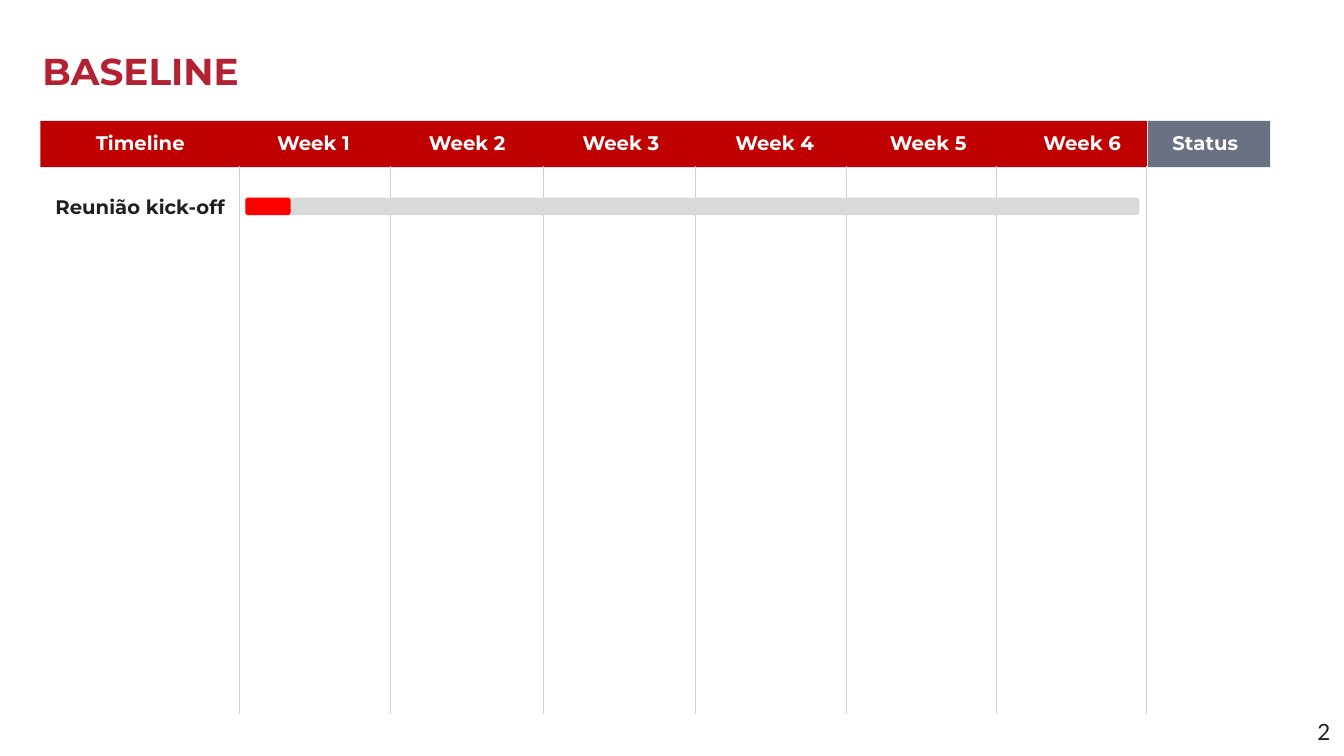
from lxml import etree
from pptx import Presentation
from pptx.dml.color import RGBColor
from pptx.enum import shapes, text
from pptx.oxml import ns
from pptx.util import Pt

CRIMSON = RGBColor(0xB2, 0x22, 0x32)
RED = RGBColor(0xC0, 0x00, 0x00)
BRIGHT_RED = RGBColor(0xFF, 0x00, 0x00)
SLATE = RGBColor(0x6A, 0x71, 0x82)
WHITE = RGBColor(0xFF, 0xFF, 0xFF)
INK = RGBColor(0x23, 0x1F, 0x20)
RULE_GREY = RGBColor(0xD1, 0xD1, 0xD1)
TRACK_GREY = RGBColor(0xD9, 0xD9, 0xD9)

HEADER_TOP, HEADER_HEIGHT = 86.4, 33.1
LABEL_TOP, LABEL_HEIGHT = 93.6, 17.3
RULE_TOP, RULE_BOTTOM = 118.8, 509.8
RULE_POSITIONS = [171.2, 278.6, 388.1, 496.9, 604.3, 711.9, 818.6]
WEEK_COUNT, WEEK_LEFT, WEEK_STEP, WEEK_WIDTH = 6, 193.9, 109.8, 60


def add_label(page, words, left, top, width, height, size=14, color=WHITE,
              align=text.PP_ALIGN.CENTER, font="Montserrat", bold=True):
    box = page.shapes.add_textbox(Pt(left), Pt(top), Pt(width), Pt(height))
    frame = box.text_frame
    frame.margin_left = frame.margin_right = 0
    frame.margin_top = frame.margin_bottom = 0
    frame.word_wrap = False
    frame.auto_size = text.MSO_AUTO_SIZE.SHAPE_TO_FIT_TEXT
    frame.vertical_anchor = text.MSO_ANCHOR.MIDDLE
    para = frame.paragraphs[0]
    para.text = words
    para.alignment = align
    para.font.name = font
    para.font.size = Pt(size)
    para.font.bold = bold
    para.font.color.rgb = color
    return box


def add_block(page, left, top, width, height, color,
              kind=shapes.MSO_SHAPE.RECTANGLE):
    block = page.shapes.add_shape(kind, Pt(left), Pt(top), Pt(width), Pt(height))
    block.shadow.inherit = False
    block.fill.solid()
    block.fill.fore_color.rgb = color
    block.line.fill.background()
    return block


def add_bar(page, width, color):
    bar = add_block(page, 175.2, 141.1, width, 12.5, color,
                    shapes.MSO_SHAPE.ROUNDED_RECTANGLE)
    bar.adjustments[0] = 0.17


def add_rule(page, left):
    rule = page.shapes.add_connector(
        shapes.MSO_CONNECTOR.STRAIGHT,
        Pt(left), Pt(RULE_TOP), Pt(left), Pt(RULE_BOTTOM))
    rule.line.color.rgb = RULE_GREY
    rule.line.width = Pt(0.5)
    etree.SubElement(rule._element.spPr, ns.qn("a:effectLst"))


def add_page_number(page, number):
    box = add_label(page, number, 941, 509.8, 12.2, 20.2, 16, INK,
                    text.PP_ALIGN.LEFT, "Lato", False)
    box.text_frame.word_wrap = True
    box.text_frame.vertical_anchor = text.MSO_ANCHOR.TOP
    para = box.text_frame.paragraphs[0]
    para.line_spacing = Pt(22.1)
    para.runs[0]._r.get_or_add_rPr().set("spc", "160")


def main():
    deck = Presentation()
    deck.slide_width, deck.slide_height = Pt(960), Pt(540)
    page = deck.slides.add_slide(deck.slide_layouts[6])

    add_page_number(page, "2")
    add_label(page, "BASELINE", 30.2, 34.2, 142, 32.4, 26.7, CRIMSON,
              text.PP_ALIGN.LEFT)
    add_block(page, 28.8, HEADER_TOP, 790.6, HEADER_HEIGHT, RED)
    add_block(page, 820.1, HEADER_TOP, 87.1, HEADER_HEIGHT, SLATE)
    for left in RULE_POSITIONS:
        add_rule(page, left)

    add_label(page, "Timeline", 66.2, LABEL_TOP, 68, LABEL_HEIGHT)
    for week in range(WEEK_COUNT):
        add_label(page, f"Week {week + 1}", WEEK_LEFT + week * WEEK_STEP,
                  LABEL_TOP, WEEK_WIDTH, LABEL_HEIGHT)
    add_label(page, "Status", 834.9, LABEL_TOP, 52, LABEL_HEIGHT)

    add_label(page, "Reunião kick-off", 37.1, 139, 126, LABEL_HEIGHT, color=INK)
    add_bar(page, 638.6, TRACK_GREY)
    add_bar(page, 32.4, BRIGHT_RED)
    deck.save("out.pptx")


if __name__ == "__main__":
    main()
